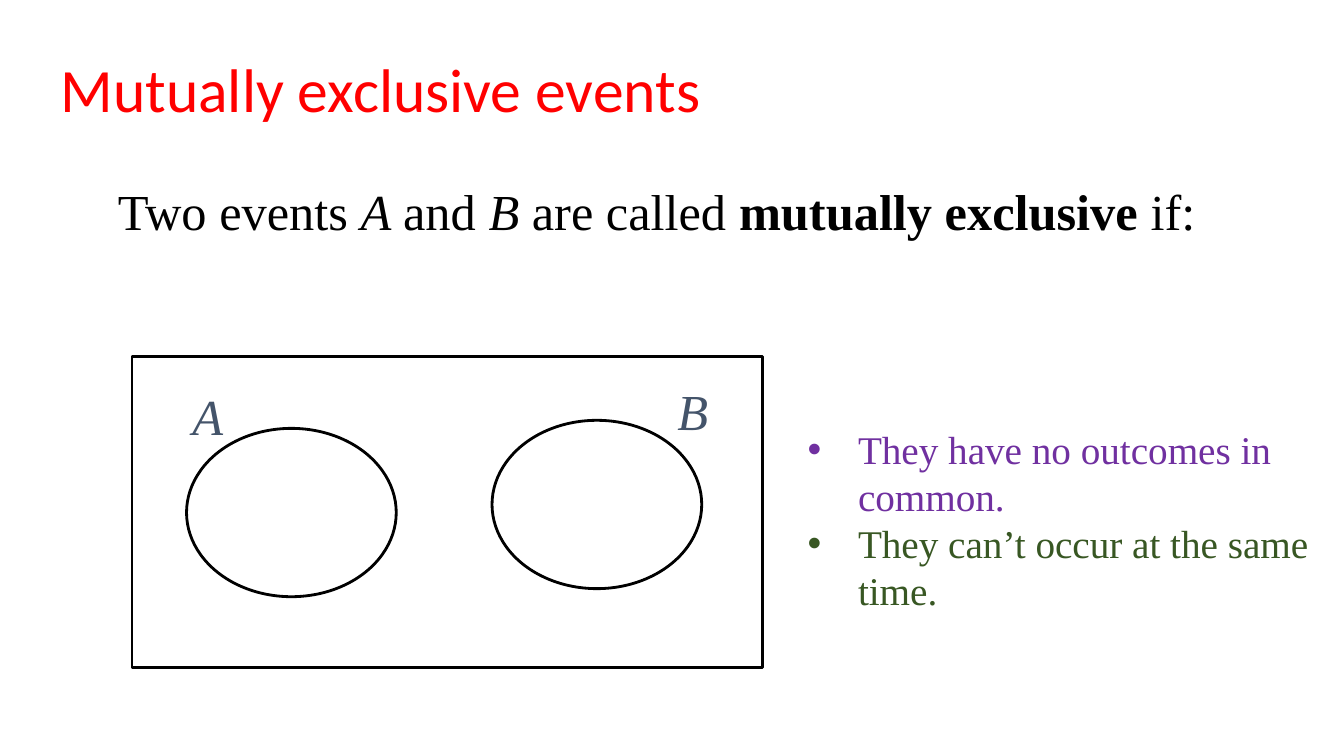
from dataclasses import dataclass

from lxml import etree
from pptx import Presentation
from pptx.dml.color import RGBColor
from pptx.enum.shapes import MSO_SHAPE as Shape
from pptx.enum.text import MSO_ANCHOR as Anchor, MSO_AUTO_SIZE as AutoSize, PP_ALIGN as Align
from pptx.oxml.ns import qn
from pptx.util import Inches, Pt

SERIF = "Times New Roman"
BLACK = "000000"


@dataclass(frozen=True)
class Box:
    left: float
    top: float
    width: float
    height: float

    def lengths(self) -> list:
        return [Inches(v) for v in (self.left, self.top, self.width, self.height)]


@dataclass(frozen=True)
class Event:
    name: str
    ellipse: Box
    label: Box


EVENTS = [
    Event("A", Box(1.85, 4.25, 2.08, 1.67), Box(1.81, 3.66, 1.08, 0.92)),
    Event("B", Box(4.88, 4.17, 2.08, 1.67), Box(6.62, 3.61, 1.08, 0.92)),
]
DEFINITION = [
    ("Two events ", {}),
    ("A ", {"italic": True}),
    ("and ", {}),
    ("B ", {"italic": True}),
    ("are called ", {}),
    ("mutually exclusive", {"bold": True}),
    (" if:", {}),
]
CONDITIONS = [
    ("They have no outcomes in common.", "7030A0"),
    ("They can’t occur at the same time.", "385723"),
]


def rgb(color: str) -> RGBColor:
    return RGBColor.from_string(color)


def add_text(p, text: str, *, size: float = 36, color: str = BLACK, font: str = SERIF,
             bold: bool = False, italic: bool = False) -> None:
    r = p.add_run()
    r.text = text
    r.font.name, r.font.size = font, Pt(size)
    r.font.bold, r.font.italic = bold, italic
    r.font.color.rgb = rgb(color)


def set_frame(sp):
    """Wrap and centre the text vertically; return the text frame."""
    tf = sp.text_frame
    tf.word_wrap = True
    tf.auto_size = AutoSize.NONE
    tf.vertical_anchor = Anchor.MIDDLE
    return tf


def add_textbox(s, box: Box):
    return set_frame(s.shapes.add_textbox(*box.lengths())).paragraphs[0]


def place(sp, box: Box):
    sp.left, sp.top, sp.width, sp.height = box.lengths()
    return set_frame(sp)


def add_outline(s, kind: Shape, box: Box) -> None:
    sp = s.shapes.add_shape(kind, *box.lengths())
    sp.shadow.inherit = False
    sp.fill.background()
    sp.line.color.rgb = rgb(BLACK)
    sp.line.width = Pt(2)


def set_bullet(p, indent: float) -> None:
    pPr = p._p.get_or_add_pPr()
    pPr.set("marL", str(Inches(indent)))
    pPr.set("indent", str(-Inches(indent)))
    etree.SubElement(pPr, qn("a:buFont")).set("typeface", "Arial")
    etree.SubElement(pPr, qn("a:buChar")).set("char", "•")


def main() -> None:
    prs = Presentation()
    prs.slide_width, prs.slide_height = Inches(13.33), Inches(7.5)
    s = prs.slides.add_slide(prs.slide_layouts[1])

    p = place(s.shapes.title, Box(0.5, 0.04, 11.33, 1.75)).paragraphs[0]
    p.alignment = Align.LEFT
    p.line_spacing = 0.9
    add_text(p, "Mutually exclusive events", size=44, color="FF0000", font="Calibri")

    p = add_textbox(s, Box(1.07, 1.46, 11.33, 1.25))
    for text, style in DEFINITION:
        add_text(p, text, **style)

    add_outline(s, Shape.RECTANGLE, Box(1.31, 3.54, 6.25, 3.08))
    for event in EVENTS:
        add_outline(s, Shape.OVAL, event.ellipse)
        add_text(add_textbox(s, event.label), event.name, color="44546A", italic=True)

    tf = place(s.placeholders[1], Box(7.91, 3.61, 5.31, 3.08))
    for i, (text, color) in enumerate(CONDITIONS):
        p = tf.add_paragraph() if i else tf.paragraphs[0]
        set_bullet(p, 0.5)
        p.space_before = Pt(0)
        add_text(p, text, size=28, color=color)

    prs.save("out.pptx")


if __name__ == "__main__":
    main()
